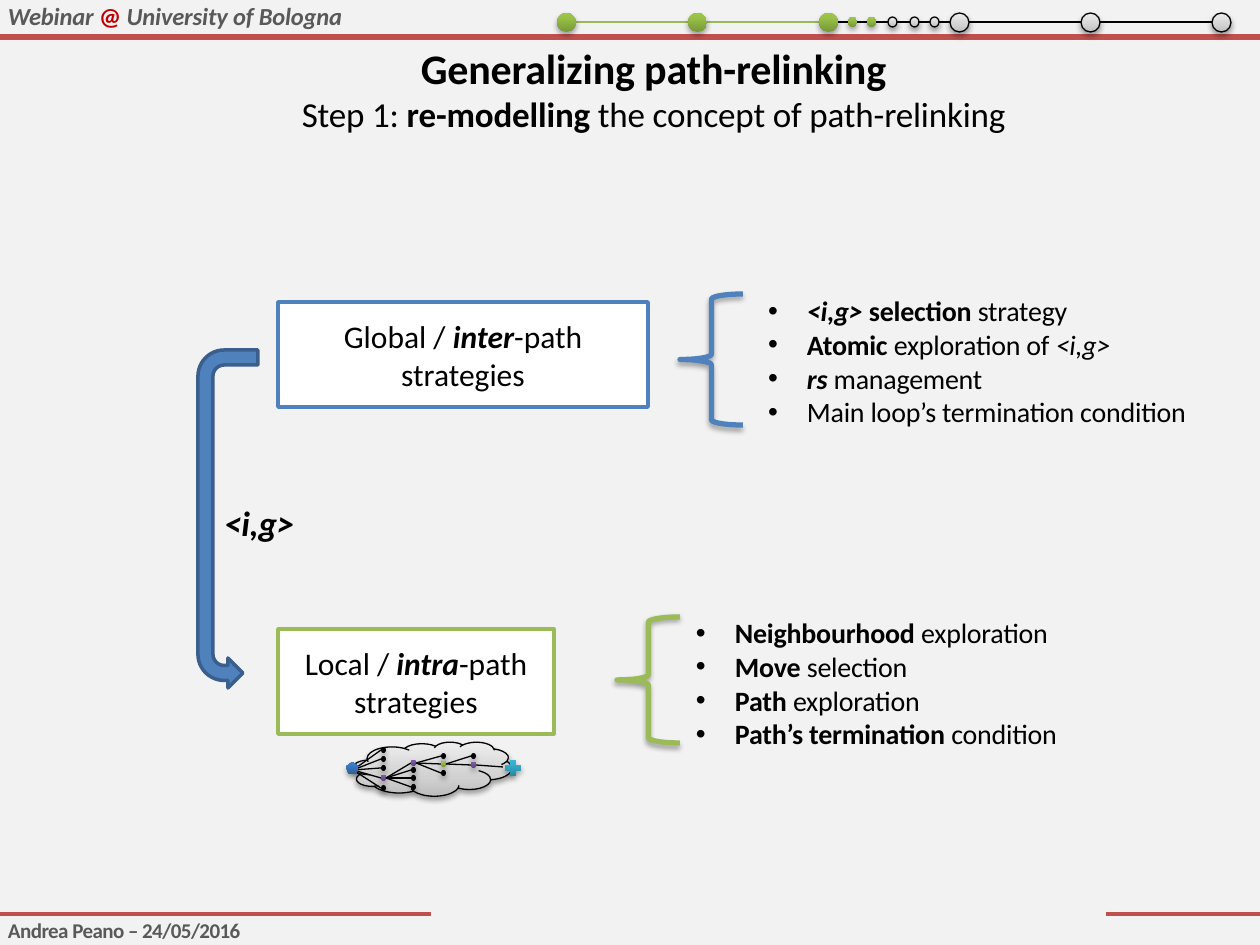
from lxml.etree import SubElement
from pptx import Presentation
from pptx.dml.color import RGBColor
from pptx.enum.shapes import MSO_CONNECTOR, MSO_SHAPE as Shape
from pptx.enum.text import MSO_ANCHOR as Anchor, MSO_AUTO_SIZE as AutoSize, PP_ALIGN as Align
from pptx.oxml.ns import qn
from pptx.util import Emu, Pt

BLUE, GREEN, RED, GREY = "4F81BD", "9BBB59", "C0504D", "595959"
GRADIENTS = {
    "green": [(0, "779737"), (80, "9BC348"), (100, "9DC746")],
    "purple": [(0, "5F4480"), (80, "7B58A6"), (100, "7C57A8")],
    "blue": [(0, "2F5F99"), (80, "3D7CC7"), (100, "3A7CCB")],
    "aqua": [(0, "2A88A2"), (80, "37B1D2"), (100, "34B4D6")],
    "grey": [(0, "BDBDBD"), (35, "D1D1D1"), (100, "EEEEEE")],
}

TITLE = [
    (24, [("Generalizing path-relinking", "b")]),
    (20, [("Step 1: ", ""), ("re-modelling", "b"), (" the concept of path-relinking", "")]),
]
HEADER = [(14, [("Webinar ", "bi", GREY), ("@ ", "b", "C00000"), ("University of Bologna", "bi", GREY)])]
FOOTER = [(12, [("Andrea Peano – 24/05/2016", "b", GREY)])]
ARROW_LABEL = [(20, [("<i,g>", "bi")])]
STRATEGIES = [
    {
        "color": BLUE,
        "box": (278, 302, 370, 105),
        "label": [("Global / ", ""), ("inter", "bi"), ("-path strategies", "")],
        "brace": (680, 294, 63, 131),
        "list": (765, 294, 423, 136),
        "items": [
            [("<i,g> ", "bi"), ("selection ", "b"), ("strategy", "")],
            [("Atomic ", "b"), ("exploration of ", ""), ("<i,g>", "i")],
            [("rs ", "bi"), ("management", "")],
            [("Main loop’s termination condition", "")],
        ],
    },
    {
        "color": GREEN,
        "box": (278, 629, 276, 105),
        "label": [("Local / ", ""), ("intra", "bi"), ("-path strategies", "")],
        "brace": (617, 617, 63, 126),
        "list": (693, 616, 367, 136),
        "items": [
            [("Neighbourhood ", "b"), ("exploration", "")],
            [("Move ", "b"), ("selection", "")],
            [("Path ", "b"), ("exploration", "")],
            [("Path’s termination ", "b"), ("condition", "")],
        ],
    },
]
RULES = [((0, 914), (431, 914), 2.25), ((1106, 914), (1260, 914), 2.25), ((0, 37), (1260, 37), 3)]

TREE_START, TREE_END = (353, 770), (503, 767)
TREE_LEFT, TREE_PITCH, NODE_WIDTH, NODE_HEIGHT = 381, 30, 5, 6
TREE_LEVELS = [
    {"tops": [747, 756, 765, 775, 785], "branch": 3, "color": "purple"},
    {"tops": [760, 767, 775, 784], "branch": 0, "color": "purple"},
    {"tops": [753, 761, 770], "branch": 1, "color": "green"},
    {"tops": [753, 762], "branch": 1, "color": "purple"},
]

MILESTONES, MILESTONES_DONE = 6, 3
MILESTONE_LEFT, MILESTONE_PITCH, MILESTONE_SIZE, TIMELINE_Y = 557, 131, 19, 22
STEPS, STEPS_DONE = [848, 867, 888, 910, 930], 2


def px(value):
    return Emu(round(value * 914400 / 126))


def rgb(color):
    return RGBColor.from_string(color)


def write(shape, paragraphs, bullets=False, align=Align.LEFT, spacing=None, **frame_format):
    frame = shape.text_frame
    for name, value in frame_format.items():
        setattr(frame, name, value)
    for index, (size, runs) in enumerate(paragraphs):
        paragraph = frame.add_paragraph() if index else frame.paragraphs[0]
        paragraph.alignment = align
        if bullets:
            properties = paragraph._p.get_or_add_pPr()
            properties.set("marL", str(px(42)))
            properties.set("indent", str(-px(39)))
            SubElement(properties, qn("a:buFont")).set("typeface", "Arial")
            SubElement(properties, qn("a:buChar")).set("char", "•")
        for text, style, *color in runs:
            run = paragraph.add_run()
            run.text = text
            font_format = {"name": "Calibri", "size": Pt(size), "bold": "b" in style, "italic": "i" in style}
            for name, value in font_format.items():
                setattr(run.font, name, value)
            run.font.color.rgb = rgb(color[0] if color else "000000")
            if spacing:
                run._r.get_or_add_rPr().set("spc", str(spacing))


PLAIN = {
    "margin_left": 0, "margin_right": 0, "margin_top": 0, "margin_bottom": 0,
    "vertical_anchor": Anchor.TOP, "word_wrap": True, "auto_size": AutoSize.SHAPE_TO_FIT_TEXT,
}


def add_text(slide, box, paragraphs, wrap=True, **options):
    shape = slide.shapes.add_textbox(*map(px, box))
    write(shape, paragraphs, **{**PLAIN, "word_wrap": wrap, **options})


def add_shape(shapes, kind, box, fill=None, line=None, width=0.75, shadow=True):
    shape = shapes.add_shape(kind, *map(px, box))
    shape.shadow.inherit = False
    if fill in GRADIENTS:
        shape.fill.gradient()
        shape.fill.gradient_angle = 90
        stops = shape._element.spPr.find(qn("a:gradFill")).find(qn("a:gsLst"))
        for stop in list(stops):
            stops.remove(stop)
        for position, color in GRADIENTS[fill]:
            stop = SubElement(stops, qn("a:gs"), pos=str(position * 1000))
            SubElement(stop, qn("a:srgbClr"), val=color)
    elif fill:
        shape.fill.solid()
        shape.fill.fore_color.rgb = rgb(fill)
    else:
        shape.fill.background()
    if line:
        shape.line.color.rgb = rgb(line)
        shape.line.width = Pt(width)
    else:
        shape.line.fill.background()
    if shadow:
        effects = shape._element.spPr.find(qn("a:effectLst"))
        outer = SubElement(effects, qn("a:outerShdw"), blurRad=str(Pt(3.1)), dist=str(Pt(1.8)),
                           dir="5400000", rotWithShape="0")
        color = SubElement(outer, qn("a:srgbClr"), val="000000")
        SubElement(color, qn("a:alpha"), val="35000")
    return shape


def add_line(shapes, start, end, color="000000", width=0.75):
    line = shapes.add_connector(MSO_CONNECTOR.STRAIGHT, *map(px, start + end))
    line.line.color.rgb = rgb(color)
    line.line.width = Pt(width)
    SubElement(line._element.spPr, qn("a:effectLst"))


def add_tree(slide):
    shapes = slide.shapes.add_group_shape().shapes
    add_shape(shapes, Shape.CLOUD, (353, 742, 159, 54), "grey", "000000")
    start = TREE_START
    for level, column in enumerate(TREE_LEVELS):
        left = TREE_LEFT + level * TREE_PITCH
        for index, top in enumerate(column["tops"]):
            add_line(shapes, start, (left, top + NODE_HEIGHT // 2))
            fill = column["color"] if index == column["branch"] else "000000"
            add_shape(shapes, Shape.FLOWCHART_CONNECTOR, (left, top, NODE_WIDTH, NODE_HEIGHT), fill)
        start = (left + NODE_WIDTH, column["tops"][column["branch"]] + NODE_HEIGHT // 2)
    add_line(shapes, start, TREE_END)
    add_shape(shapes, Shape.REGULAR_PENTAGON, (346, 762, 13, 12), "blue")
    goal = add_shape(shapes, Shape.CROSS, (505, 760, 16, 16), "aqua")
    goal.adjustments[0] = 0.32


def add_timeline(slide):
    shapes = slide.shapes.add_group_shape().shapes

    def add_dot(left, top, width, height, done):
        fill, line = ("green", None) if done else ("grey", "000000")
        add_shape(shapes, Shape.OVAL, (left, top, width, height), fill, line)

    for index in range(MILESTONES):
        left = MILESTONE_LEFT + index * MILESTONE_PITCH
        if index < MILESTONES - 1:
            color = "98B955" if index < MILESTONES_DONE - 1 else "000000"
            add_line(shapes, (left + MILESTONE_SIZE, TIMELINE_Y), (left + MILESTONE_PITCH, TIMELINE_Y), color)
        add_dot(left, TIMELINE_Y - 9, MILESTONE_SIZE, MILESTONE_SIZE, index < MILESTONES_DONE)
    for index, left in enumerate(STEPS):
        add_dot(left, TIMELINE_Y - 5, 9, 10, index < STEPS_DONE)


def main():
    presentation = Presentation()
    presentation.slide_width, presentation.slide_height = px(1260), px(945)
    slide = presentation.slides.add_slide(presentation.slide_layouts[5])
    slide.background.fill.solid()
    slide.background.fill.fore_color.rgb = rgb("F2F2F2")

    for start, end, width in RULES:
        add_line(slide.shapes, start, end, RED, width)
    add_text(slide, (8, 1, 563, 30), HEADER, spacing=-10)
    add_text(slide, (8, 918, 236, 25), FOOTER, wrap=False, spacing=-30)

    title = slide.shapes.title
    title.left, title.top, title.width, title.height = map(px, (109, 42, 1089, 93))
    write(title, TITLE, align=Align.CENTER, spacing=-10, **PLAIN)

    for strategy in STRATEGIES:
        color = strategy["color"]
        box = add_shape(slide.shapes, Shape.RECTANGLE, strategy["box"], "FFFFFF", color, 2, shadow=False)
        write(box, [(18, strategy["label"])], align=Align.CENTER, vertical_anchor=Anchor.MIDDLE, word_wrap=True)
        add_shape(slide.shapes, Shape.LEFT_BRACE, strategy["brace"], line=color, width=3)
        items = [(16, runs) for runs in strategy["items"]]
        add_text(slide, strategy["list"], items, wrap=False, bullets=True, spacing=-10)

    arrow = add_shape(slide.shapes, Shape.U_TURN_ARROW, (59, 489, 338, 60), BLUE, "3A5F8C", 2, shadow=False)
    arrow.rotation = 270
    arrow._element.spPr.find(qn("a:xfrm")).set("flipH", "1")
    add_text(slide, (224, 501, 79, 43), ARROW_LABEL, spacing=-10)

    add_tree(slide)
    add_timeline(slide)
    presentation.save("out.pptx")


if __name__ == "__main__":
    main()
